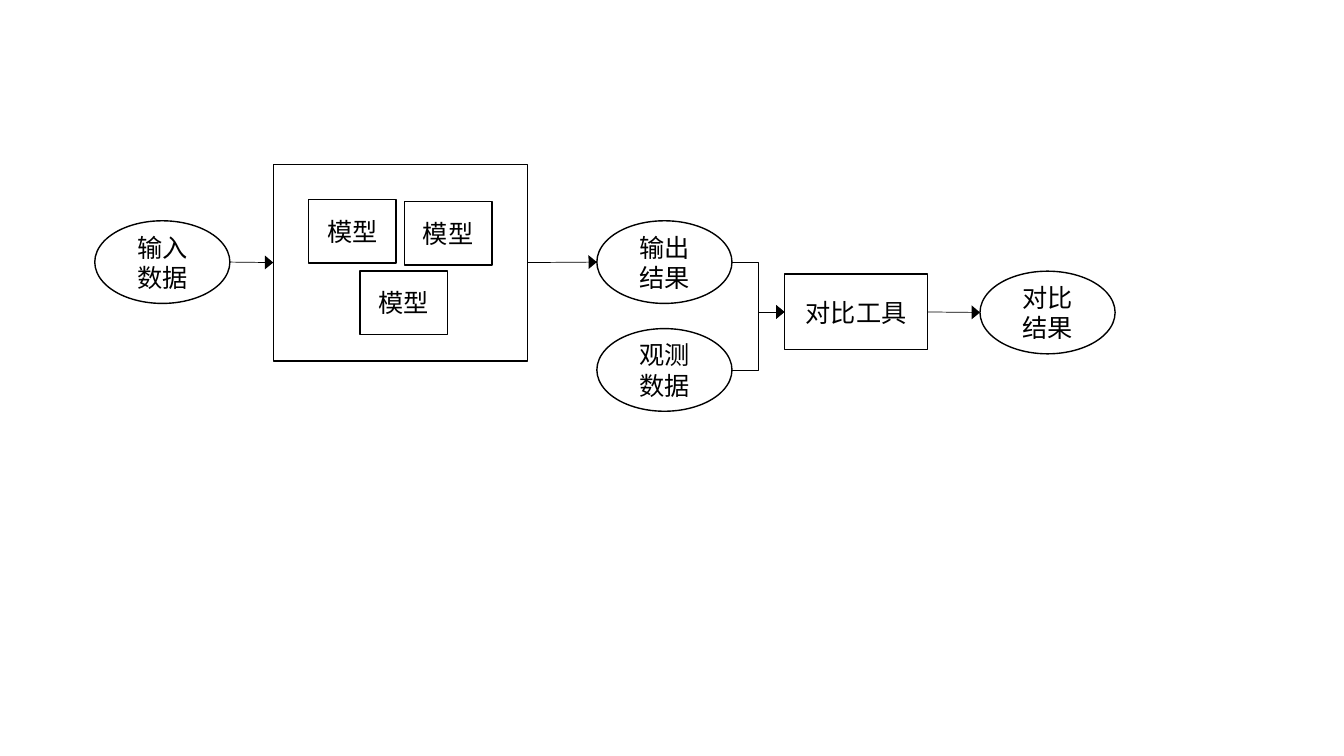
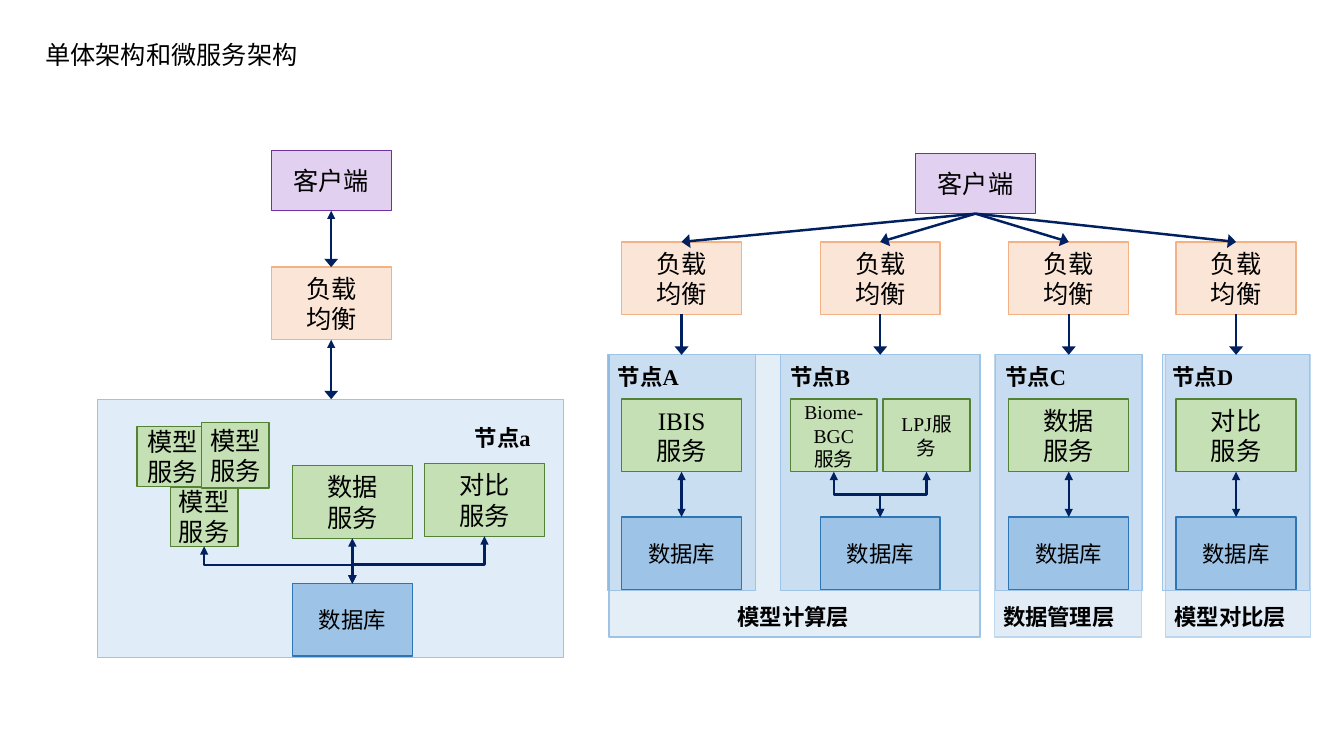
from lxml import etree
from pptx import Presentation
from pptx.dml.color import RGBColor
from pptx.enum.shapes import MSO_CONNECTOR as Link, MSO_SHAPE as Shape
from pptx.enum.text import MSO_ANCHOR as Anchor, PP_ALIGN as Align
from pptx.oxml.ns import qn
from pptx.util import Inches, Pt

FONT = "Times New Roman"
DATABASE = "数据库"
COLORS = {
    "black": "000000", "white": "FFFFFF", "navy": "002060", "panel": "5B9BD5",
    "panel_line": "9DC3E6", "tier_line": "BDD7EE",
    "client": "E2D0F0", "client_line": "7030A0",
    "balancer": "FBE5D6", "balancer_line": "F4B183",
    "service": "C5E0B4", "service_line": "548235",
    "database": "9DC3E6", "database_line": "2E75B6",
}
STYLES = {
    "plain": ("white", "black", 1),
    "client": ("client", "client_line", 0.75),
    "balancer": ("balancer", "balancer_line", 1),
    "service": ("service", "service_line", 1),
    "database": ("database", "database_line", 1),
    "panel": ("panel", "panel_line", 0.75),
    "tier": ("panel", "tier_line", 0.75),
}
OVAL = (1.34, 0.82)
MODEL = (0.87, 0.63)
CLIENT = (1.19, 0.6)
BLOCK = (1.19, 0.72)
HALF_BLOCK = (0.86, 0.72)


def color(name):
    return RGBColor.from_string(COLORS[name])


def write(box, text, size, align=Align.CENTER, bold=False):
    box.text_frame.text = text
    box.text_frame.word_wrap = True
    for para in box.text_frame.paragraphs:
        para.alignment = align
        for span in para.runs:
            span.font.name, span.font.size, span.font.bold = FONT, Pt(size), bold
            span.font.color.rgb = color("black")


def add_box(page, style, place, size, text="", points=18, form=Shape.RECTANGLE, alpha=None, tight=False):
    fill, line, weight = STYLES[style]
    box = page.shapes.add_shape(form, *map(Inches, place + size))
    box.shadow.inherit = False
    box.fill.solid()
    box.fill.fore_color.rgb = color(fill)
    if alpha:
        tint = box.fill._xPr.find(".//" + qn("a:srgbClr"))
        etree.SubElement(tint, qn("a:alpha")).set("val", str(alpha * 1000))
    box.line.color.rgb = color(line)
    box.line.width = Pt(weight)
    frame = box.text_frame
    frame.vertical_anchor = Anchor.MIDDLE
    if tight:
        frame.margin_left = frame.margin_right = frame.margin_top = frame.margin_bottom = 0
    if text:
        write(box, text, points)
    return box


def add_label(page, place, width, text, align=Align.LEFT):
    box = page.shapes.add_textbox(*map(Inches, place + (width, 0.37)))
    write(box, text, 16, align, bold=True)


def side(box, name):
    across, down = {"top": (0.5, 0), "bottom": (0.5, 1), "left": (0, 0.5), "right": (1, 0.5)}[name]
    return int(box.left + box.width * across), int(box.top + box.height * down)


def add_arrow(page, start, end, form=Link.STRAIGHT, ink="navy", weight=1.75, double=False, wide=True):
    arrow = page.shapes.add_connector(form, *start, *end)
    arrow.line.color.rgb = color(ink)
    arrow.line.width = Pt(weight)
    line = arrow.line._get_or_add_ln()
    if double:
        etree.SubElement(line, qn("a:headEnd")).set("type", "triangle")
    tail = etree.SubElement(line, qn("a:tailEnd"))
    tail.set("type", "triangle")
    if wide:
        tail.set("w", "lg")
    etree.SubElement(arrow._element.spPr, qn("a:effectLst"))
    return arrow


def add_down_elbow(page, start, end, bend=50):
    (x1, y1), (x2, y2) = start, end
    middle_x, middle_y = (x1 + x2) // 2, (y1 + y2) // 2
    half_width, half_height = (y2 - y1) // 2, abs(x2 - x1) // 2
    turn = 1 if x1 > x2 else -1
    arrow = add_arrow(page, (middle_x - turn * half_width, middle_y - half_height),
                      (middle_x + turn * half_width, middle_y + half_height),
                      Link.ELBOW, double=True, wide=False)
    properties = arrow._element.spPr
    properties.find(qn("a:xfrm")).set("rot", str(turn * 90 % 360 * 60000))
    guides = properties.find(qn("a:prstGeom")).find(qn("a:avLst"))
    guide = etree.SubElement(guides, qn("a:gd"))
    guide.set("name", "adj1")
    guide.set("fmla", f"val {bend * 1000}")


def add_flow(page, left, top):
    def oval(x, y, text):
        return add_box(page, "plain", (left + x, top + y), OVAL, text, form=Shape.OVAL)

    def flow(source, target, form=Link.STRAIGHT):
        add_arrow(page, side(source, "right"), side(target, "left"), form, "black", 0.5)

    models = add_box(page, "plain", (left + 1.77, top), (2.52, 1.95))
    for x, y in ((3.07, 0.37), (2.12, 0.35), (2.63, 1.06)):
        add_box(page, "plain", (left + x, top + y), MODEL, "模型")
    source = oval(0, 0.56, "输入\n数据")
    output = oval(4.98, 0.56, "输出\n结果")
    observed = oval(4.98, 1.63, "观测\n数据")
    tool = add_box(page, "plain", (left + 6.84, top + 1.09), (1.42, 0.75), "对比工具")
    result = oval(8.78, 1.06, "对比\n结果")
    flow(source, models)
    flow(models, output)
    flow(observed, tool, Link.ELBOW)
    flow(output, tool, Link.ELBOW)
    flow(tool, result)


def add_monolith(page, left, top):
    add_box(page, "panel", (left, top + 2.47), (4.62, 2.56), alpha=19)
    client = add_box(page, "client", (left + 1.72, top), CLIENT, "客户端")
    balancer = add_box(page, "balancer", (left + 1.72, top + 1.16), BLOCK, "负载\n均衡")
    data = add_box(page, "service", (left + 1.93, top + 3.13), BLOCK, "数据\n服务")
    compare = add_box(page, "service", (left + 3.24, top + 3.11), BLOCK, "对比\n服务")
    models = [
        add_box(page, "service", (left + x, top + y), size, "模型\n服务", tight=True)
        for x, y, size in ((0.72, 3.34, (0.67, 0.59)), (0.39, 2.74, (0.71, 0.6)), (1.03, 2.7, (0.67, 0.65)))
    ]
    database = add_box(page, "database", (left + 1.93, top + 4.3), BLOCK, DATABASE, 16)
    add_label(page, (left + 3.64, top + 2.67), 0.99, "节点a")
    add_arrow(page, side(client, "bottom"), side(balancer, "top"), double=True)
    x, y = side(balancer, "bottom")
    add_arrow(page, (x, y), (x, Inches(top + 2.47)), double=True)
    hub = side(database, "top")
    add_down_elbow(page, side(models[0], "bottom"), hub)
    add_arrow(page, side(data, "bottom"), hub, double=True, wide=False)
    add_down_elbow(page, side(compare, "bottom"), hub, bend=60)


def add_node(page, left, top, width, name, services):
    center = left + width / 2
    block_left = center - BLOCK[0] / 2
    add_box(page, "panel", (left, top), (width, 2.34), alpha=19)
    add_label(page, (left, top + 0.03), 0.99, name)
    balancer = add_box(page, "balancer", (block_left, top - 1.12), BLOCK, "负载\n均衡")
    database = add_box(page, "database", (block_left, top + 1.61), BLOCK, DATABASE, 16)
    size, points = (BLOCK, 18) if len(services) == 1 else (HALF_BLOCK, 14)
    pitch = size[0] + 0.06
    first_left = center - (pitch * (len(services) - 1) + size[0]) / 2
    for index, text in enumerate(services):
        service = add_box(page, "service", (first_left + index * pitch, top + 0.44), size, text, points)
        start, end = side(service, "bottom"), side(database, "top")
        if len(services) == 1:
            add_arrow(page, start, end, double=True, wide=False)
        else:
            add_down_elbow(page, start, end)
    x, y = side(balancer, "bottom")
    add_arrow(page, (x, y), (x, Inches(top)))
    return balancer


def add_microservices(page, left, top):
    node_top = top + 2
    tiers = (
        ("panel", 0.01, 3.68, 17, "模型计算层", Align.CENTER),
        ("tier", 3.83, 1.46, 18, "数据管理层", Align.LEFT),
        ("tier", 5.53, 1.44, 18, "模型对比层", Align.LEFT),
    )
    nodes = (
        (0, 1.46, "节点A", ["IBIS\n服务"]),
        (1.71, 1.98, "节点B", ["Biome-BGC\n服务", "LPJ服务"]),
        (3.84, 1.46, "节点C", ["数据\n服务"]),
        (5.5, 1.46, "节点D", ["对比\n服务"]),
    )
    for style, x, width, alpha, text, align in tiers:
        add_box(page, style, (left + x, node_top), (width, 2.8), alpha=alpha)
        add_label(page, (left + x - 0.01, node_top + 2.41), width, text, align)
    client = add_box(page, "client", (left + 3.05, top), CLIENT, "客户端")
    for x, width, name, services in nodes:
        balancer = add_node(page, left + x, node_top, width, name, services)
        add_arrow(page, side(client, "bottom"), side(balancer, "top"))


def add_title(page, text):
    title = page.shapes.title
    title.left, title.top, title.width, title.height = map(Inches, (0.35, 0.32, 11.5, 0.47))
    write(title, text, 18, Align.LEFT)
    title.text_frame.vertical_anchor = Anchor.MIDDLE
    title.text_frame.paragraphs[0].line_spacing = 0.9


def main():
    deck = Presentation()
    deck.slide_width, deck.slide_height = Inches(13.33), Inches(7.5)
    title_only, blank = deck.slide_layouts[5], deck.slide_layouts[6]
    add_flow(deck.slides.add_slide(blank), 0.94, 1.63)
    page = deck.slides.add_slide(title_only)
    add_title(page, "单体架构和微服务架构")
    add_monolith(page, 0.97, 1.49)
    add_microservices(page, 6.03, 1.52)
    deck.save("out.pptx")


if __name__ == "__main__":
    main()
